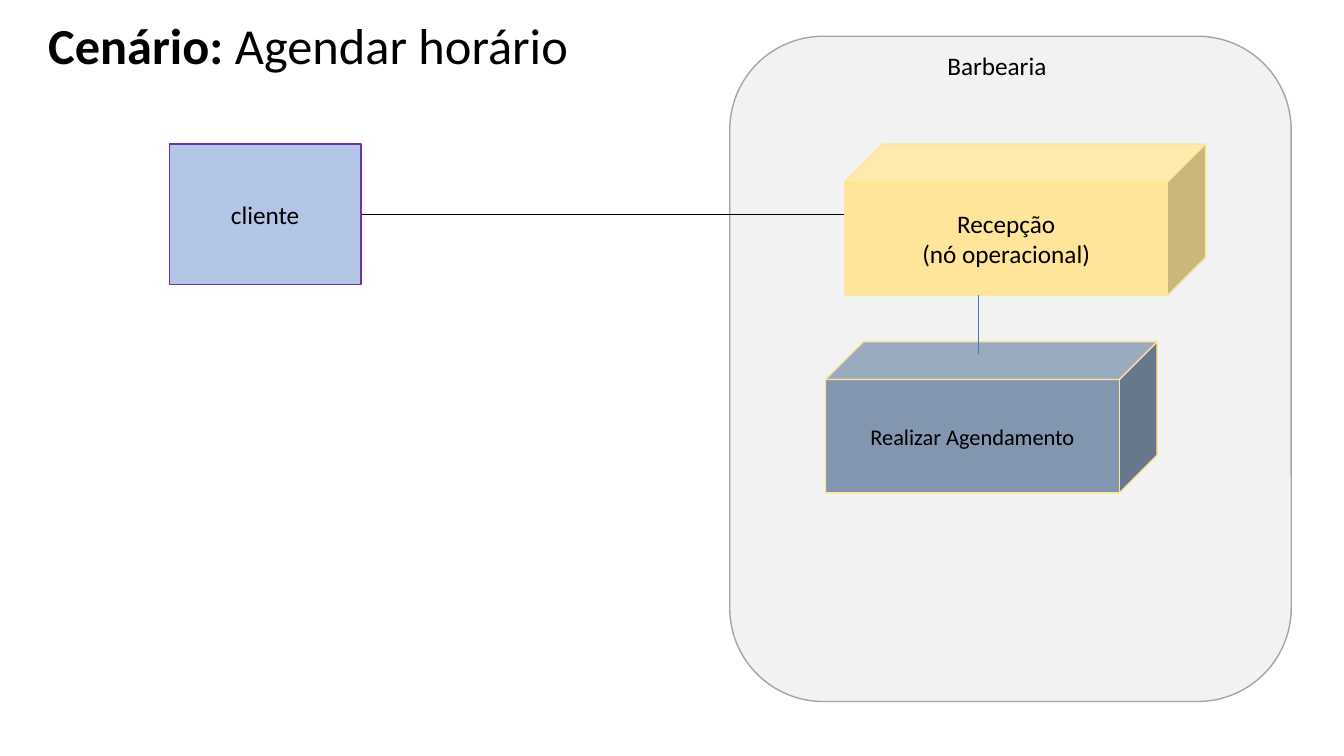
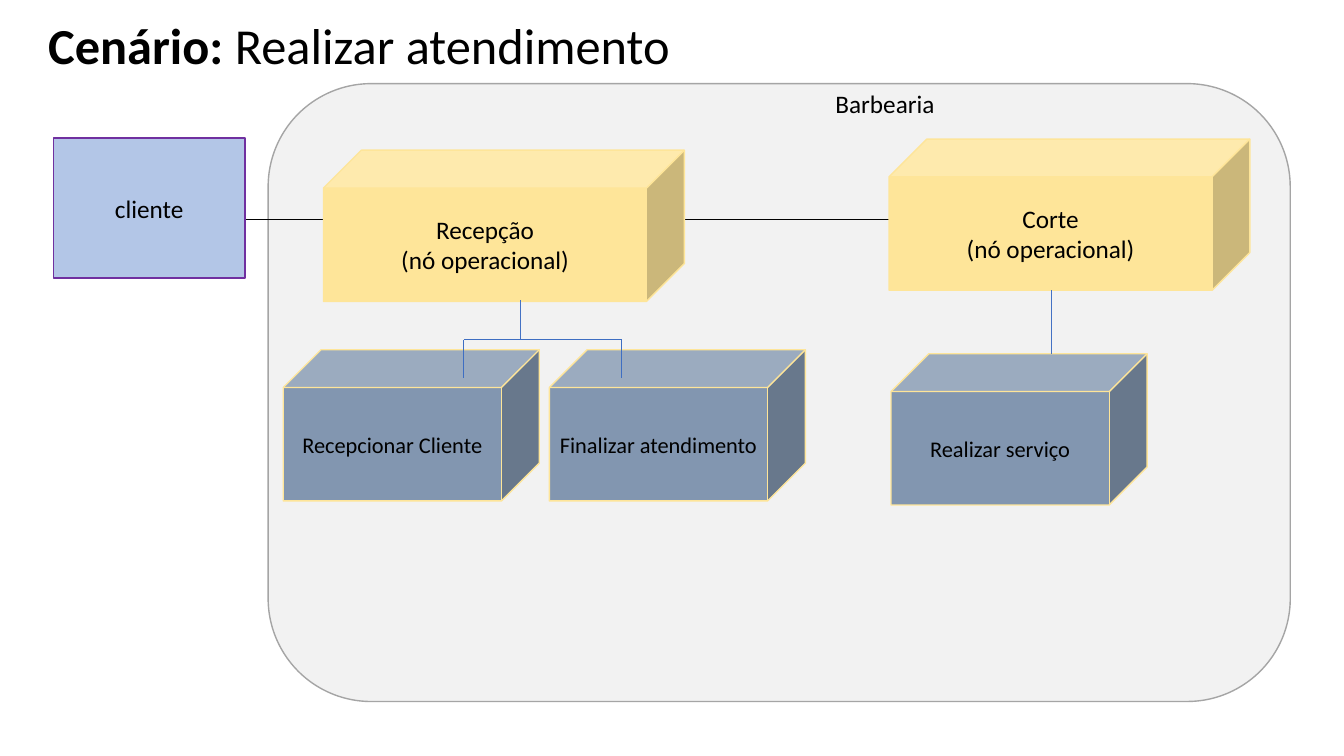
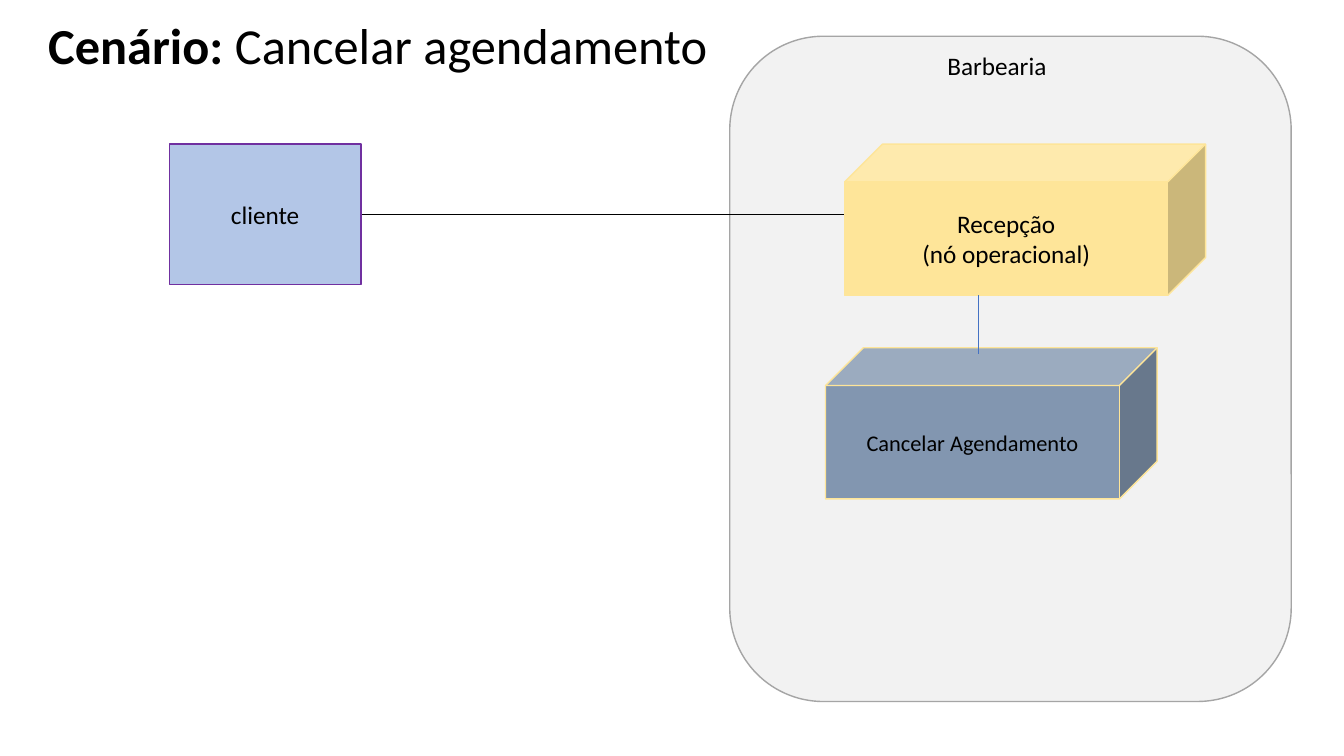
from dataclasses import dataclass

from lxml.etree import SubElement
from pptx import Presentation
from pptx.dml.color import RGBColor as Rgb
from pptx.enum.shapes import MSO_CONNECTOR as Link, MSO_SHAPE as Form
from pptx.enum.text import MSO_ANCHOR as Anchor, MSO_AUTO_SIZE as Fit
from pptx.enum.text import PP_ALIGN as Align
from pptx.oxml.ns import qn
from pptx.util import Inches, Pt


@dataclass(frozen=True)
class Theme:
    font: str = "Calibri"
    ink: str = "000000"
    panel: str = "F2F2F2"
    edge: str = "A5A5A5"
    client: str = "B3C6E7"
    violet: str = "7030A0"
    node: str = "FEE599"
    task: str = "8296B0"
    stem: str = "4472C4"
    branch: str = "3E6EC2"
    head: int = 36
    body: int = 18
    small: int = 16
    frame: float = 1
    wire: float = 0.75


LOOK = Theme()

# The slide is a grid of 40 columns by 30 rows
WIDE, HIGH = Inches(13.33), Inches(7.5)
COLS, ROWS = 40, 30

# Sizes that all scenes share, in columns and rows
CLIENT = (5.7, 5.56)
NODE_W, CUBE_H = 10.74, 6
LABEL = (5.49, 1.6)
TITLE = (1.14, 0.36, 20.58, 2.84)


def col(n):
    return round(WIDE * n / COLS)


def row(n):
    return round(HIGH * n / ROWS)


def area(x, y, w, h):
    return col(x), row(y), col(w), row(h)


# Text
def write(item, text, size=LOOK.body, lead="", align=Align.LEFT, anchor=Anchor.TOP):
    """Fill an item with lines of text; lead is a bold start."""
    frame = item.text_frame
    frame.word_wrap = True
    frame.vertical_anchor = anchor
    for i, line in enumerate(text.split("\n")):
        para = frame.add_paragraph() if i else frame.paragraphs[0]
        para.alignment = align
        parts = [(line, False)]
        if lead and not i:
            parts.insert(0, (lead, True))
        for words, bold in parts:
            run = para.add_run()
            run.text = words
            font = run.font
            font.name, font.size, font.bold = LOOK.font, Pt(size), bold
            font.color.rgb = Rgb.from_string(LOOK.ink)


def note(slide, place, text, **style):
    box = slide.shapes.add_textbox(*area(*place))
    write(box, text, **style)
    box.text_frame.auto_size = Fit.SHAPE_TO_FIT_TEXT


# Shapes and lines
def block(slide, form, place, fill, edge, text="", size=LOOK.body):
    item = slide.shapes.add_shape(form, *area(*place))
    item.shadow.inherit = False
    item.fill.solid()
    item.fill.fore_color.rgb = Rgb.from_string(fill)
    item.line.color.rgb = Rgb.from_string(edge)
    item.line.width = Pt(LOOK.frame)
    if text:
        write(item, text, size=size, align=Align.CENTER, anchor=Anchor.MIDDLE)
    return item


def wire(slide, x1, y1, x2, y2, tone=LOOK.ink):
    link = slide.shapes.add_connector(
        Link.STRAIGHT, col(x1), row(y1), col(x2), row(y2))
    link.line.color.rgb = Rgb.from_string(tone)
    link.line.width = Pt(LOOK.wire)
    SubElement(link._element.spPr, qn("a:effectLst"))


# Parts of a scene
def panel(slide, *place):
    block(slide, Form.ROUNDED_RECTANGLE, place, LOOK.panel, LOOK.edge)


def client(slide, x, y):
    block(slide, Form.RECTANGLE, (x, y, *CLIENT), LOOK.client, LOOK.violet, "cliente")


def node(slide, x, y, name):
    block(slide, Form.CUBE, (x, y, NODE_W, CUBE_H), LOOK.node, LOOK.node,
          name + "\n(nó operacional)")


def task(slide, x, y, w, name):
    block(slide, Form.CUBE, (x, y, w, CUBE_H), LOOK.task, LOOK.node, name, LOOK.small)


def label(slide, x, y):
    note(slide, (x, y, *LABEL), "Barbearia")


def scene(deck, name):
    slide = deck.slides.add_slide(deck.slide_layouts[6])
    note(slide, TITLE, name, size=LOOK.head, lead="Cenário: ")
    return slide


# Scene with one node and one task
def single(deck, title, job, top):
    slide = scene(deck, title)
    panel(slide, 21.72, 1.44, 16.71, 26.4)
    wire(slide, 25.14, 8.52, 10.74, 8.52)
    client(slide, 5.04, 5.72)
    label(slide, 27.9, 1.8)
    node(slide, 25.14, 5.72, "Recepção")
    task(slide, 24.57, top, 9.87, job)
    wire(slide, 29.13, 11.72, 29.13, 14.04, LOOK.stem)


# Scene with two nodes and three tasks
def service(deck):
    slide = scene(deck, "Realizar atendimento")
    panel(slide, 7.98, 3.32, 30.42, 24.52)
    wire(slide, 26.52, 8.72, 7.29, 8.72)
    client(slide, 1.59, 5.48)
    label(slide, 24.57, 3.32)
    node(slide, 9.63, 5.96, "Recepção")
    node(slide, 26.46, 5.52, "Corte")
    for x, y, job in ((8.43, 13.88, "Recepcionar Cliente"),
                      (16.35, 13.88, "Finalizar atendimento"),
                      (26.52, 14.04, "Realizar serviço")):
        task(slide, x, y, 7.62, job)
    wire(slide, 31.29, 11.52, 31.29, 14.04, LOOK.stem)

    # Fork from the front desk to its two tasks
    mid, fork = 15.48, 13.48
    wire(slide, mid, 11.92, mid, fork, LOOK.stem)
    for x in (13.8, 18.51):
        wire(slide, mid, fork, x, fork, LOOK.branch)
        wire(slide, x, fork, x, 15, LOOK.branch)


def main():
    deck = Presentation()
    deck.slide_width, deck.slide_height = WIDE, HIGH
    single(deck, "Agendar horário", "Realizar Agendamento", 13.56)
    service(deck)
    single(deck, "Cancelar agendamento", "Cancelar Agendamento", 13.8)
    deck.save("out.pptx")


main()
